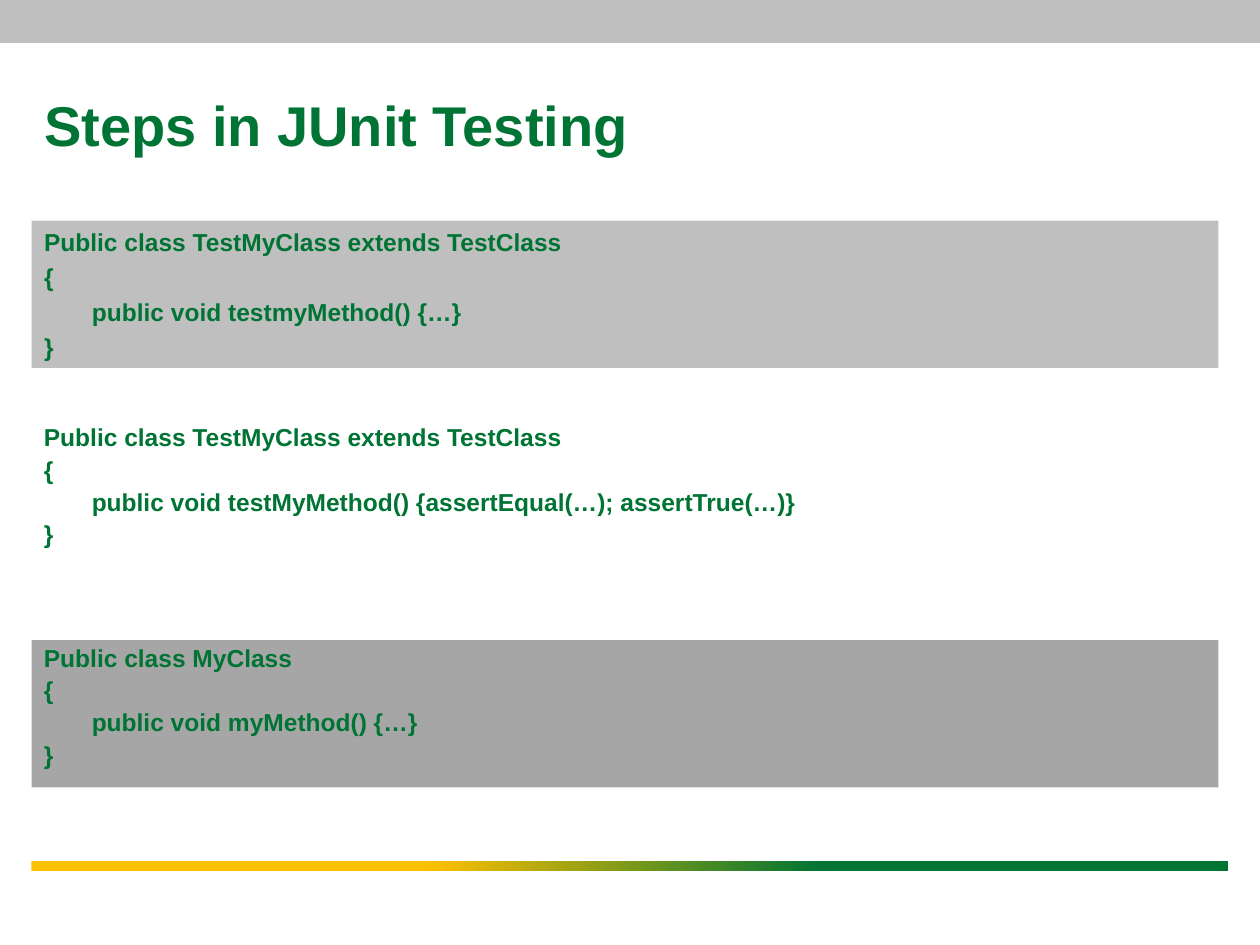
from copy import deepcopy

from lxml import etree
from pptx import Presentation
from pptx import util as u
from pptx.dml.color import RGBColor
from pptx.enum import shapes, text
from pptx.oxml import ns

COLORS = {"green": "007434", "gold": "FFC000", "silver": "BFBFBF", "gray": "A6A6A6"}
FRAME = {"word_wrap": True, "auto_size": text.MSO_AUTO_SIZE.NONE}
TITLE_FONT = {"name": "Arial", "size": u.Pt(32), "bold": True}
CODE_FONT = {"name": "Arial", "size": u.Pt(14), "bold": True}
CODE_INDENT = u.Inches(0.38)
CODE_BLOCKS = [
    {"top": 1.75, "fill": "silver", "spacing": 1.0,
     "head": "Public class TestMyClass extends TestClass",
     "method": "public void testmyMethod() {…}"},
    {"top": 3.33, "fill": None, "spacing": 0.9,
     "head": "Public class TestMyClass extends TestClass",
     "method": "public void testMyMethod() {assertEqual(…); assertTrue(…)}"},
    {"top": 5.08, "fill": "gray", "spacing": 0.9,
     "head": "Public class MyClass",
     "method": "public void myMethod() {…}"},
]


def color(name):
    """Return the named color."""
    return RGBColor.from_string(COLORS[name])


def set_values(target, values):
    """Set each attribute of the target from a dict."""
    for name, value in values.items():
        setattr(target, name, value)


def place(shape, box):
    """Move a shape to a box of left, top, width and height in inches."""
    names = ("left", "top", "width", "height")
    set_values(shape, dict(zip(names, map(u.Inches, box))))


def add_span(para, words, font):
    """Add green words to a paragraph."""
    span = para.add_run()
    span.text = words
    set_values(span.font, font)
    span.font.color.rgb = color("green")


def add_bar(page, box):
    """Add a plain rectangle."""
    bar = page.shapes.add_shape(shapes.MSO_SHAPE.RECTANGLE, *map(u.Inches, box))
    bar.shadow.inherit = False
    return bar


def add_header(page, box):
    """Add the silver band at the top."""
    bar = add_bar(page, box)
    bar.fill.solid()
    bar.fill.fore_color.rgb = color("silver")
    bar.line.color.rgb = color("silver")
    bar.line.width = u.Pt(2)


def add_footer(page, box):
    """Add the rule that fades from gold to green."""
    bar = add_bar(page, box)
    bar.line.fill.background()
    bar.fill.gradient()
    bar.fill.gradient_angle = 0
    stops = bar.fill._fill._gradFill.find(ns.qn("a:gsLst"))
    for stop in list(stops)[:2]:
        stop.addnext(deepcopy(stop))
    names = ("gold", "gold", "green", "green")
    for stop, name, position in zip(bar.fill.gradient_stops, names, (0, 0.33, 0.66, 1)):
        stop.color.rgb = color(name)
        stop.position = position


def add_title(page, box):
    """Fill the title placeholder."""
    title = page.shapes.title
    place(title, box)
    set_values(title.text_frame, FRAME | {"vertical_anchor": text.MSO_ANCHOR.MIDDLE})
    para = title.text_frame.paragraphs[0]
    para.alignment = text.PP_ALIGN.LEFT
    add_span(para, "Steps in JUnit Testing", TITLE_FONT)


def add_code(shape, box, block):
    """Fill a shape with a class outline."""
    place(shape, box)
    if block["fill"]:
        shape.fill.solid()
        shape.fill.fore_color.rgb = color(block["fill"])
    frame = shape.text_frame
    set_values(frame, FRAME | {"vertical_anchor": text.MSO_ANCHOR.TOP})
    layout = {"alignment": text.PP_ALIGN.LEFT, "line_spacing": block["spacing"],
              "space_before": u.Pt(3.3)}
    for row, line in enumerate((block["head"], "{", "\t" + block["method"], "}")):
        para = frame.add_paragraph() if row else frame.paragraphs[0]
        set_values(para, layout)
        properties = para._p.get_or_add_pPr()
        properties.set("marL", str(CODE_INDENT))
        properties.set("indent", str(-CODE_INDENT))
        etree.SubElement(properties, ns.qn("a:buNone"))
        add_span(para, line, CODE_FONT)


def build_steps(page):
    """Place all parts of the slide."""
    add_header(page, (0, 0, 10, 0.33))
    add_footer(page, (0.25, 6.83, 9.5, 0.08))
    add_title(page, (0.25, 0.42, 9.5, 1.13))
    for row, block in enumerate(CODE_BLOCKS):
        box = (0.25, block["top"], 9.42, 1.17)
        shape = page.shapes.add_textbox(*map(u.Inches, box)) if row else page.placeholders[1]
        add_code(shape, box, block)


def main():
    """Build and save the deck."""
    deck = Presentation()
    set_values(deck, {"slide_width": u.Inches(10), "slide_height": u.Inches(7.5)})
    build_steps(deck.slides.add_slide(deck.slide_layouts[1]))
    deck.save("out.pptx")


if __name__ == "__main__":
    main()
